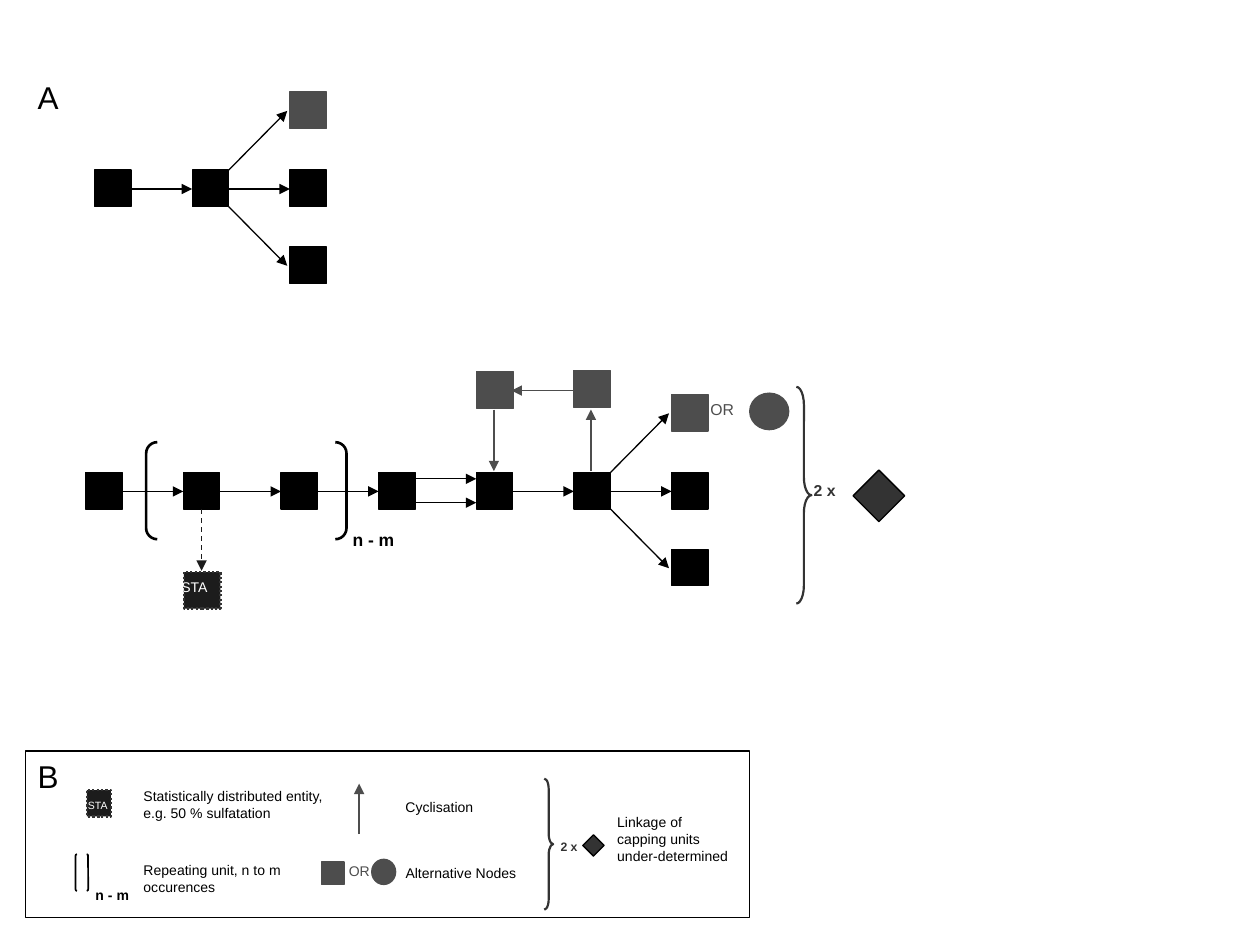
from dataclasses import dataclass

from lxml.etree import SubElement
from pptx import Presentation
from pptx.dml.color import RGBColor
from pptx.enum.dml import MSO_LINE_DASH_STYLE as Dash
from pptx.enum.shapes import MSO_CONNECTOR, MSO_SHAPE as Preset
from pptx.oxml.ns import qn
from pptx.util import Inches, Pt

COLORS = {
    "black": "000000",
    "white": "FFFFFF",
    "gray": "4D4D4D",
    "slate": "333333",
    "coal": "1C1C1C",
}
NODE = 0.29
PITCH = 0.775
MIDDLE = 0.15


@dataclass
class Figure:
    """A preset shape; fill and line name entries of COLORS."""

    left: float
    top: float
    width: float
    height: float
    fill: str | None = "black"
    line: str = "black"
    weight: float = 0.75
    preset: Preset = Preset.RECTANGLE
    dash: Dash | None = None
    rotation: float = 0
    adjustment: float | None = None


@dataclass
class Arrow:
    """A straight arrow from its start to its end."""

    start: tuple[float, float]
    end: tuple[float, float]
    color: str = "black"
    dash: Dash | None = None


@dataclass
class Label:
    """A text box with one paragraph per line of text."""

    text: str
    left: float
    top: float
    width: float
    height: float
    size: float = 8
    color: str = "black"
    bold: bool = False


def rgb(name: str) -> RGBColor:
    """Return the named color."""
    return RGBColor.from_string(COLORS[name])


def draw_figure(slide, figure: Figure) -> None:
    """Draw a preset shape."""
    shape = slide.shapes.add_shape(
        figure.preset, Inches(figure.left), Inches(figure.top),
        Inches(figure.width), Inches(figure.height))
    shape.shadow.inherit = False
    shape.rotation = figure.rotation
    if figure.fill:
        shape.fill.solid()
        shape.fill.fore_color.rgb = rgb(figure.fill)
    else:
        shape.fill.background()
    shape.line.color.rgb = rgb(figure.line)
    shape.line.width = Pt(figure.weight)
    if figure.dash:
        shape.line.dash_style = figure.dash
    if figure.adjustment is not None:
        shape.adjustments[0] = figure.adjustment


def draw_arrow(slide, arrow: Arrow) -> None:
    """Draw a thin connector with a triangular head."""
    connector = slide.shapes.add_connector(
        MSO_CONNECTOR.STRAIGHT, *map(Inches, arrow.start + arrow.end))
    connector.line.color.rgb = rgb(arrow.color)
    connector.line.width = Pt(0.75)
    if arrow.dash:
        connector.line.dash_style = arrow.dash
    SubElement(connector.line._get_or_add_ln(), qn("a:tailEnd"), type="triangle")
    SubElement(connector._element.spPr, qn("a:effectLst"))


def draw_label(slide, label: Label) -> None:
    """Draw a text box."""
    box = slide.shapes.add_textbox(
        Inches(label.left), Inches(label.top), Inches(label.width), Inches(label.height))
    frame = box.text_frame
    frame.word_wrap = True
    frame.text = label.text
    for paragraph in frame.paragraphs:
        font = paragraph.font
        font.name = "Arial"
        font.size = Pt(label.size)
        font.bold = label.bold
        font.color.rgb = rgb(label.color)


def draw_node(slide, left: float, top: float, color: str = "black") -> None:
    """Draw one square node."""
    draw_figure(slide, Figure(left, top, NODE, NODE, color, color))


def draw_tree(slide, left: float, top: float, count: int, double_after: int | None = None) -> None:
    """Draw a row of nodes whose second to last one forks into three."""
    for index in range(count):
        node_left = left + index * PITCH
        draw_node(slide, node_left, top)
        if index < count - 1:
            offsets = (0.05, 0.24) if index == double_after else (MIDDLE,)
            for offset in offsets:
                draw_arrow(slide, Arrow((node_left + NODE, top + offset),
                                        (node_left + PITCH, top + offset)))
    tip = left + (count - 1) * PITCH
    corner = tip - PITCH + NODE
    draw_arrow(slide, Arrow((corner, top), (tip - 0.02, top - 0.47)))
    draw_arrow(slide, Arrow((corner, top + NODE), (tip - 0.02, top + 0.76)))
    draw_node(slide, tip, top - 0.62, "gray")
    draw_node(slide, tip, top + 0.61)


def main() -> None:
    """Build the slide and save it."""
    presentation = Presentation()
    presentation.slide_width, presentation.slide_height = Inches(10), Inches(7.5)
    slide = presentation.slides.add_slide(presentation.slide_layouts[6])

    draw_figure(slide, Figure(0.2, 5.96, 5.75, 1.32, "white"))
    draw_tree(slide, 0.75, 1.35, 3)
    draw_tree(slide, 0.68, 3.75, 7, double_after=3)

    dot, brace, pair = Dash.ROUND_DOT, Preset.RIGHT_BRACE, Preset.DOUBLE_BRACKET
    figures = [
        Figure(1.16, 3.51, 1.59, 0.77, None, weight=1.5, preset=pair, adjustment=0.115),
        Figure(3.78, 2.95, NODE, NODE, "gray", "gray", 0.25),
        Figure(4.55, 2.94, NODE, NODE, "gray", "gray", 0.25),
        Figure(5.95, 3.12, 0.31, 0.29, "gray", "gray", preset=Preset.OVAL),
        Figure(6.32, 3.07, 0.12, 1.72, None, "slate", 1.25, brace, adjustment=1.19),
        Figure(6.83, 3.79, NODE, NODE, "slate", rotation=45),
        Figure(1.46, 4.54, NODE, NODE, "coal", "slate", 1.25, dash=dot),
        Figure(0.69, 6.27, 0.19, 0.21, "coal", "slate", 1.25, dash=dot),
        Figure(0.6, 6.78, 0.1, 0.29, None, weight=1, preset=pair, adjustment=0.115),
        Figure(2.55, 6.84, 0.18, 0.18, "gray", "gray"),
        Figure(2.95, 6.82, 0.19, 0.2, "gray", "gray", preset=Preset.OVAL),
        Figure(4.32, 6.18, 0.07, 1.04, None, "slate", 1.25, brace, adjustment=1.19),
        Figure(4.65, 6.65, 0.12, 0.12, "slate", rotation=45),
    ]
    arrows = [
        Arrow((4.69, 3.74), (4.69, 3.25), "gray"),
        Arrow((4.55, 3.1), (4.06, 3.1), "gray"),
        Arrow((3.92, 3.25), (3.92, 3.74), "gray"),
        Arrow((1.6, 4.04), (1.6, 4.53), "coal", Dash.DASH),
        Arrow((2.85, 6.62), (2.85, 6.22), "gray"),
    ]
    labels = [
        Label("A", 0.2, 0.57, 0.45, 0.38, 18),
        Label("n - m", 2.7, 4.15, 0.65, 0.26, 10, bold=True),
        Label("OR", 5.54, 3.12, 0.47, 0.24, 9, "gray"),
        Label("2 x", 6.36, 3.77, 0.5, 0.24, 9, "slate", True),
        Label("STA", 1.34, 4.54, 0.51, 0.23, 8, "white"),
        Label("B", 0.2, 5.96, 0.4, 0.38, 18),
        Label("STA", 0.6, 6.29, 0.4, 0.2, 6, "white"),
        Label("n - m", 0.66, 6.99, 0.5, 0.23, bold=True),
        Label("OR", 2.67, 6.8, 0.4, 0.23, color="gray"),
        Label("2 x", 4.35, 6.61, 0.38, 0.21, 7, "slate", True),
        Label("Statistically distributed entity,\ne.g. 50 % sulfatation", 1.04, 6.2, 1.66, 0.35),
        Label("Repeating unit, n to m\noccurences", 1.04, 6.79, 1.32, 0.35),
        Label("Cyclisation", 3.12, 6.29, 0.76, 0.23),
        Label("Alternative Nodes", 3.12, 6.81, 1.08, 0.35),
        Label("Linkage of\ncapping units\nunder-determined", 4.8, 6.41, 1.08, 0.6),
    ]
    for figure in figures:
        draw_figure(slide, figure)
    for arrow in arrows:
        draw_arrow(slide, arrow)
    for label in labels:
        draw_label(slide, label)

    presentation.save("out.pptx")


if __name__ == "__main__":
    main()
